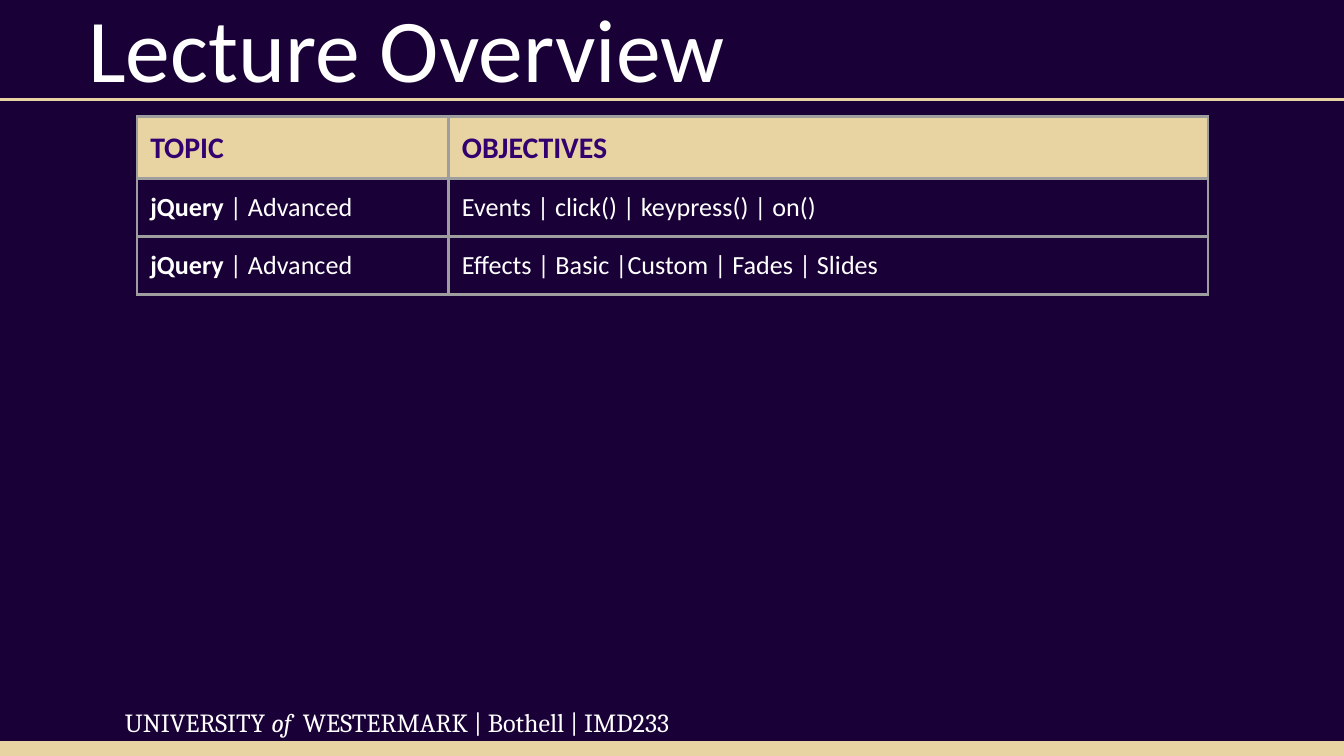
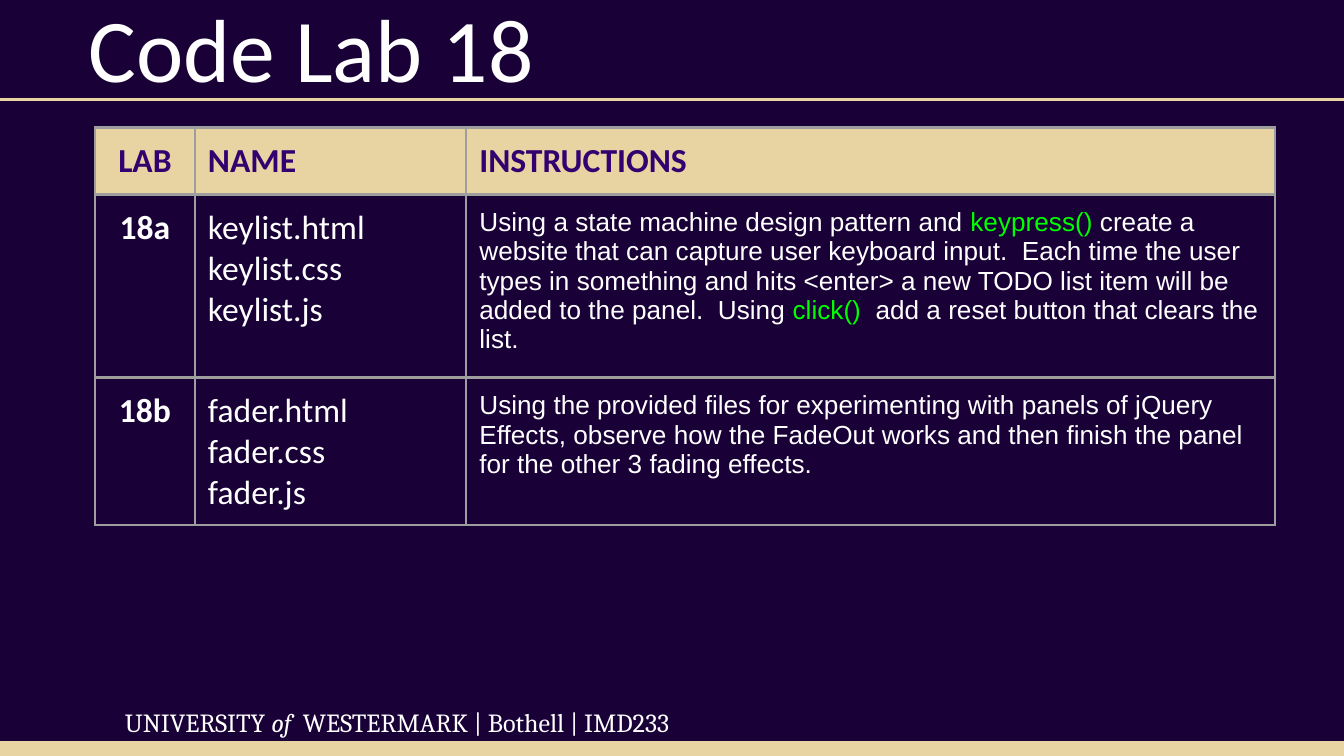
from pptx import Presentation
from pptx.dml.color import RGBColor as Rgb
from pptx.enum.shapes import MSO_CONNECTOR as Link, MSO_SHAPE as Shape
from pptx.enum.text import MSO_ANCHOR as Anchor, PP_ALIGN as Align
from pptx.oxml.ns import qn
from pptx.util import Cm, Pt
from lxml.etree import SubElement as Sub

HUES = {"night": "190037", "gold": "E8D3A2", "plum": "33006F",
        "white": "FFFFFF", "lime": "00FF00", "gray": "9E9E9E"}
WIDE, HIGH = 25.4, 14.29
PAD = 0.25
RULE = 1.5


def style(size, name="Calibri", hue="white", **more):
    return {"size": Pt(size), "name": name, "hue": hue, **more}


TITLE = style(48)
FOOT = style(14, "Cambria")
SLANT = {**FOOT, "italic": True}
HEAD = style(16, hue="plum", bold=True)
BODY = style(14)
BOLD = {**BODY, "bold": True}
LABHEAD = {**HEAD, "size": Pt(18)}
FILE = style(18)
LAB = {**FILE, "bold": True}
TASK = style(14, "Arial")
CALL = {**TASK, "hue": "lime"}


def color(name):
    return Rgb.from_string(HUES[name])


def write(frame, paras, align=Align.LEFT):
    """Fill a text frame; each paragraph is a list of (text, style)."""
    for i, runs in enumerate(paras):
        para = frame.paragraphs[0] if i == 0 else frame.add_paragraph()
        para.alignment = align
        for text, form in runs:
            run = para.add_run()
            run.text = text
            for key, value in form.items():
                if key == "hue":
                    run.font.color.rgb = color(value)
                else:
                    setattr(run.font, key, value)


def pad(item):
    for side in ("left", "top", "right", "bottom"):
        setattr(item, f"margin_{side}", Cm(PAD))


def label(slide, box, runs, anchor=Anchor.TOP):
    frame = slide.shapes.add_textbox(*map(Cm, box)).text_frame
    frame.word_wrap = True
    frame.vertical_anchor = anchor
    pad(frame)
    write(frame, [runs])


def base(deck, title):
    """Add a slide with the shared band, footer, rule and title."""
    slide = deck.slides.add_slide(deck.slide_layouts[6])
    back = slide.background.fill
    back.solid()
    back.fore_color.rgb = color("night")

    deep = 0.28
    band = slide.shapes.add_shape(
        Shape.RECTANGLE, 0, Cm(HIGH - deep), Cm(WIDE), Cm(deep))
    band.shadow.inherit = False
    band.fill.solid()
    band.fill.fore_color.rgb = color("gold")
    band.line.fill.background()

    label(slide, (2.11, 13.11, 11.81, 0.64), [
        ("UNIVERSITY ", FOOT), ("of", SLANT),
        ("  WESTERMARK | Bothell | IMD233", FOOT)])

    line = slide.shapes.add_connector(
        Link.STRAIGHT, 0, Cm(1.88), Cm(WIDE), Cm(1.88))
    line.line.color.rgb = color("gold")
    line.line.width = Pt(RULE)
    Sub(line._element.spPr, qn("a:effectLst"))

    label(slide, (1.42, 0.1, 22.56, 1.55), [(title, TITLE)], Anchor.MIDDLE)
    return slide


def edge(cell):
    """Draw all four borders of a cell."""
    props = cell._tc.get_or_add_tcPr()
    for side in "LRTB":
        line = Sub(props, qn(f"a:ln{side}"), w=str(Pt(RULE)))
        fill = Sub(line, qn("a:solidFill"))
        Sub(fill, qn("a:srgbClr"), val=HUES["gray"])


def grid(slide, left, top, cols, rows, mid=()):
    """Place a table; columns listed in mid are centred."""
    highs = [0.66] + [1.07] * (len(rows) - 1)
    table = slide.shapes.add_table(
        len(rows), len(cols),
        *map(Cm, (left, top, sum(cols), sum(highs)))).table
    table.first_row = table.horz_banding = False
    for col, wide in zip(table.columns, cols):
        col.width = Cm(wide)
    for r, (row, high) in enumerate(zip(rows, highs)):
        table.rows[r].height = Cm(high)
        for c, paras in enumerate(row):
            cell = table.cell(r, c)
            pad(cell)
            edge(cell)
            if r == 0:
                cell.fill.solid()
                cell.fill.fore_color.rgb = color("gold")
            else:
                cell.fill.background()
            write(cell.text_frame, paras,
                  Align.CENTER if c in mid else Align.LEFT)


def plain(form, *lines):
    return [[(line, form)] for line in lines]


def files(stem):
    return plain(FILE, *(f"{stem}.{kind}" for kind in ("html", "css", "js")))


def topics(deck):
    slide = base(deck, "Lecture Overview")
    topic = [[("jQuery", BOLD), (" | Advanced", BODY)]]
    goals = ("Events | click() | keypress() | on()",
             "Effects | Basic |Custom | Fades | Slides")
    rows = [[plain(HEAD, name) for name in ("TOPIC", "OBJECTIVES")]]
    rows += [[topic, plain(BODY, goal)] for goal in goals]
    grid(slide, 2.59, 2.2, (5.89, 14.35), rows)


def labs(deck):
    slide = base(deck, "Code Lab 18")
    keys = [[
        ("Using a state machine design pattern and ", TASK),
        ("keypress() ", CALL),
        ("create a website that can capture user keyboard input.  Each time "
         "the user types in something and hits <enter> a new TODO list item "
         "will be added to the panel.  Using ", TASK),
        ("click()", CALL),
        ("  add a reset button that clears the list.", TASK)]]
    fades = plain(
        TASK, "Using the provided files for experimenting with panels of "
        "jQuery Effects, observe how the FadeOut works and then finish the "
        "panel for the other 3 fading effects.")
    rows = [
        [plain(LABHEAD, name) for name in ("LAB", "NAME", "INSTRUCTIONS")],
        [plain(LAB, "18a"), files("keylist"), keys],
        [plain(LAB, "18b"), files("fader"), fades]]
    grid(slide, 1.8, 2.41, (1.88, 5.13, 15.29), rows, mid=(0,))


def main():
    deck = Presentation()
    deck.slide_width, deck.slide_height = Cm(WIDE), Cm(HIGH)
    topics(deck)
    labs(deck)
    deck.save("out.pptx")


if __name__ == "__main__":
    main()
